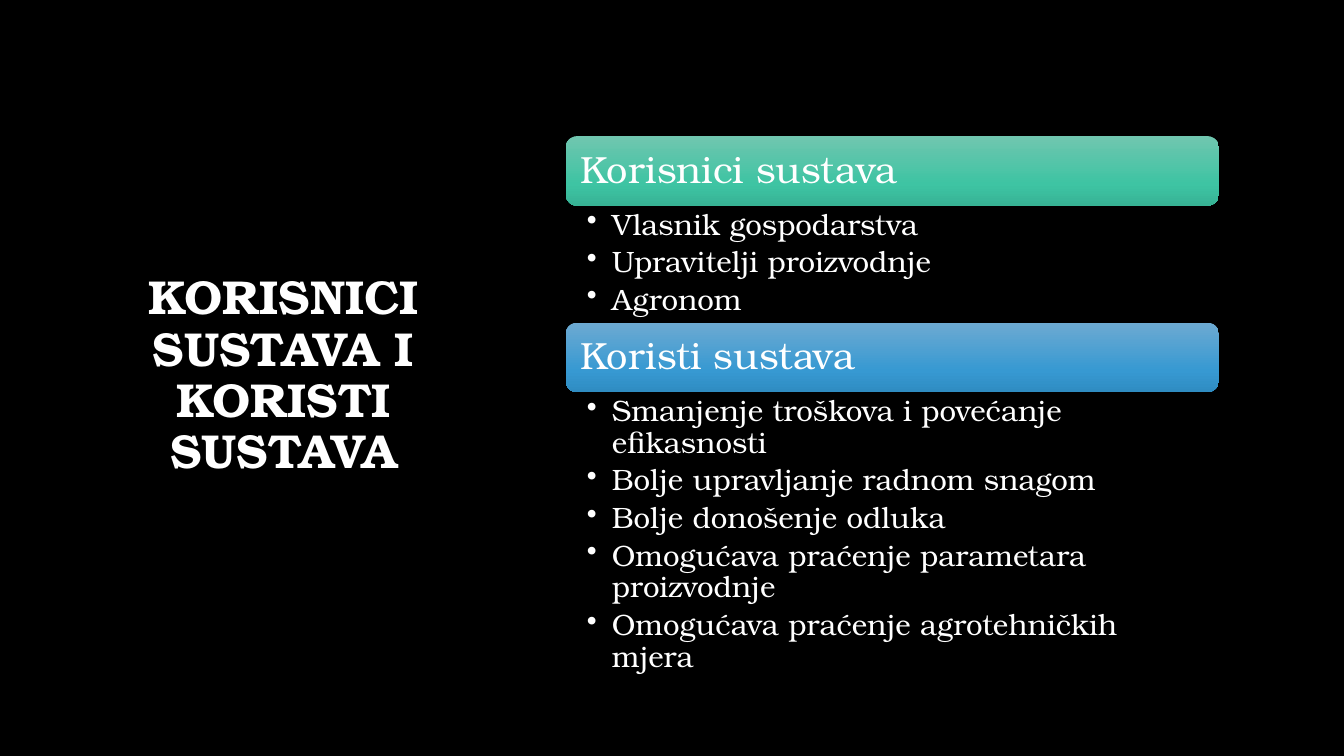
from copy import deepcopy

from lxml.etree import SubElement
from pptx import Presentation
from pptx.dml.color import RGBColor
from pptx.enum.shapes import MSO_SHAPE
from pptx.enum.text import MSO_ANCHOR, MSO_AUTO_SIZE, PP_ALIGN
from pptx.oxml.ns import qn
from pptx.util import Inches, Pt

FONT = "TeX Gyre Bonum"
BLACK = RGBColor(0x00, 0x00, 0x00)
WHITE = RGBColor(0xFF, 0xFF, 0xFF)
GREENS = (RGBColor(0x70, 0xC6, 0xAF), RGBColor(0x3E, 0xC4, 0xA3), RGBColor(0x37, 0xB3, 0x95))
BLUES = (RGBColor(0x6D, 0xAA, 0xD2), RGBColor(0x37, 0x99, 0xD2), RGBColor(0x2F, 0x8C, 0xC2))
STOPS = (0, 0.69, 1)

TITLE_BOX = (0.82, 0.67, 3.98, 6.13)
LIST_LEFT, LIST_TOP, LIST_WIDTH = 5.61, 1.35, 6.48
HEADER_HEIGHT = 0.69
BULLET_INDENT = 0.25

# header, gradient, height of the bullet area, bullets
SECTIONS = [
    ("Korisnici sustava", GREENS, 1.16, [
        "Vlasnik gospodarstva",
        "Upravitelji proizvodnje",
        "Agronom",
    ]),
    ("Koristi sustava", BLUES, 2.26, [
        "Smanjenje troškova i povećanje efikasnosti",
        "Bolje upravljanje radnom snagom",
        "Bolje donošenje odluka",
        "Omogućava praćenje parametara proizvodnje",
        "Omogućava praćenje agrotehničkih mjera",
    ]),
]


def set_frame(tf, anchor, inset_x=0.1, inset_y=0.05):
    frame_format = {
        "word_wrap": True, "auto_size": MSO_AUTO_SIZE.NONE, "vertical_anchor": anchor,
        "margin_left": Inches(inset_x), "margin_right": Inches(inset_x),
        "margin_top": Inches(inset_y), "margin_bottom": Inches(inset_y),
    }
    for name, value in frame_format.items():
        setattr(tf, name, value)


def write(p, text, size, align=PP_ALIGN.LEFT, bold=False):
    p.text = text
    p.alignment = align
    p.line_spacing = 0.9
    font = p.runs[0].font
    for name, value in {"name": FONT, "size": Pt(size), "bold": bold}.items():
        setattr(font, name, value)
    font.color.rgb = WHITE


def add_bullet(p):
    pPr = p._p.get_or_add_pPr()
    pPr.set("marL", str(Inches(BULLET_INDENT)))
    pPr.set("indent", str(-Inches(BULLET_INDENT)))
    SubElement(pPr, qn("a:buChar")).set("char", "•")


def fill_gradient(sp, colors):
    """Fill from top to bottom with one colour for each of STOPS."""
    sp.fill.gradient()
    sp.fill.gradient_angle = 270
    stop_list = sp._element.spPr.find(".//" + qn("a:gsLst"))
    stop_list.append(deepcopy(stop_list[-1]))
    for stop, position, color in zip(sp.fill.gradient_stops, STOPS, colors):
        stop.position = position
        stop.color.rgb = color


def place_title(slide, box):
    title = slide.shapes.title
    for name, value in zip(("left", "top", "width", "height"), box):
        setattr(title, name, Inches(value))
    set_frame(title.text_frame, MSO_ANCHOR.MIDDLE)
    write(title.text_frame.paragraphs[0], "KORISNICI SUSTAVA I KORISTI SUSTAVA",
          34, PP_ALIGN.CENTER, True)


def add_header(slide, box, text, colors):
    sp = slide.shapes.add_shape(MSO_SHAPE.ROUNDED_RECTANGLE, *map(Inches, box))
    sp.shadow.inherit = False
    sp.line.fill.background()
    fill_gradient(sp, colors)
    set_frame(sp.text_frame, MSO_ANCHOR.MIDDLE, 0.11, 0.11)
    write(sp.text_frame.paragraphs[0], text, 27)


def add_bullets(slide, box, items):
    tf = slide.shapes.add_textbox(*map(Inches, box)).text_frame
    set_frame(tf, MSO_ANCHOR.TOP, 0.21, 0.04)
    for i, item in enumerate(items):
        p = tf.add_paragraph() if i else tf.paragraphs[0]
        add_bullet(p)
        write(p, item, 21)
        p.space_after = Pt(4.2)


def add_sections(slide, left, top, width):
    for header, colors, height, items in SECTIONS:
        add_header(slide, (left, top, width, HEADER_HEIGHT), header, colors)
        top += HEADER_HEIGHT
        add_bullets(slide, (left, top, width, height), items)
        top += height


def main():
    prs = Presentation()
    prs.slide_width, prs.slide_height = Inches(13.33), Inches(7.5)
    slide = prs.slides.add_slide(prs.slide_layouts[5])
    slide.background.fill.solid()
    slide.background.fill.fore_color.rgb = BLACK
    place_title(slide, TITLE_BOX)
    add_sections(slide, LIST_LEFT, LIST_TOP, LIST_WIDTH)
    prs.save("out.pptx")


if __name__ == "__main__":
    main()
